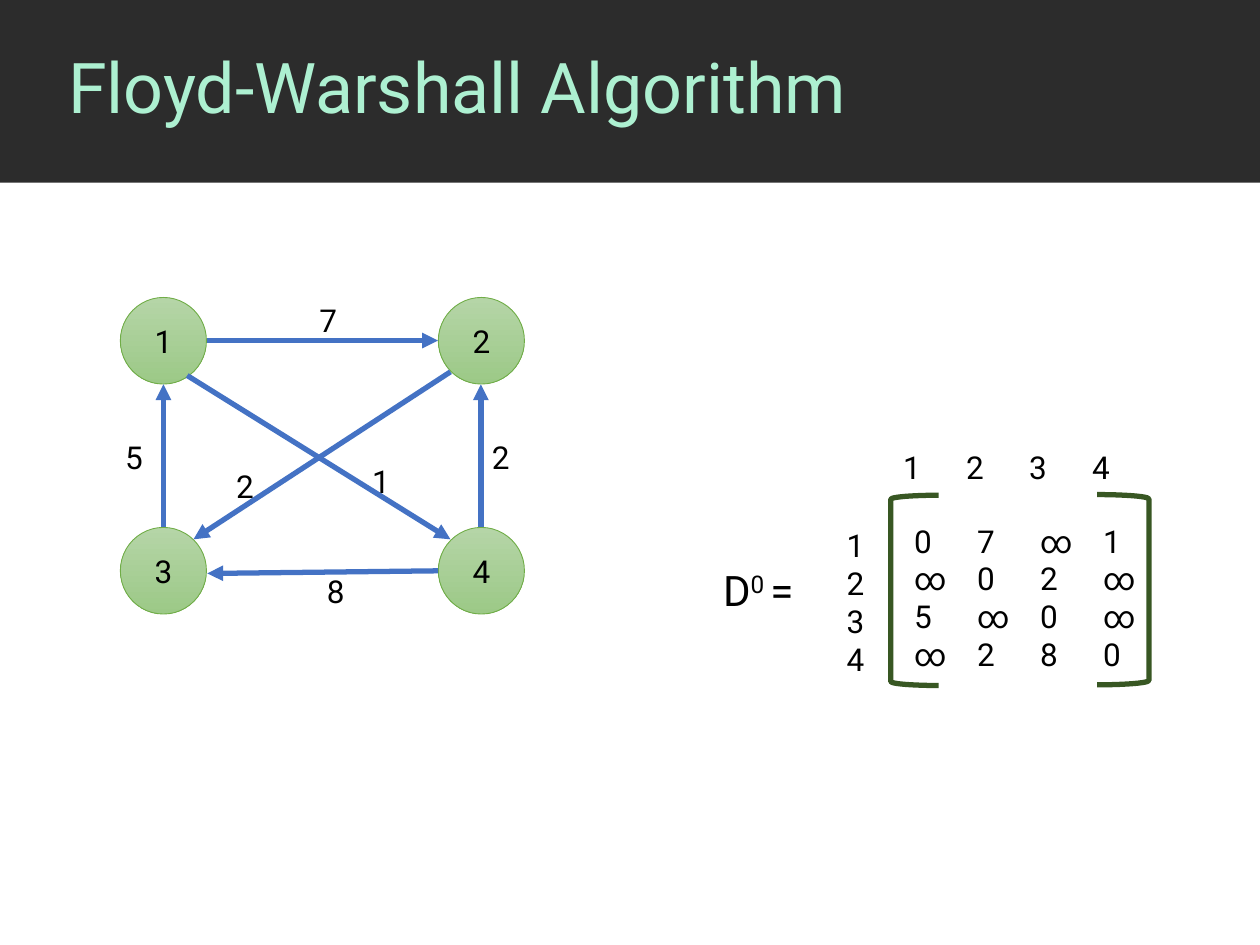
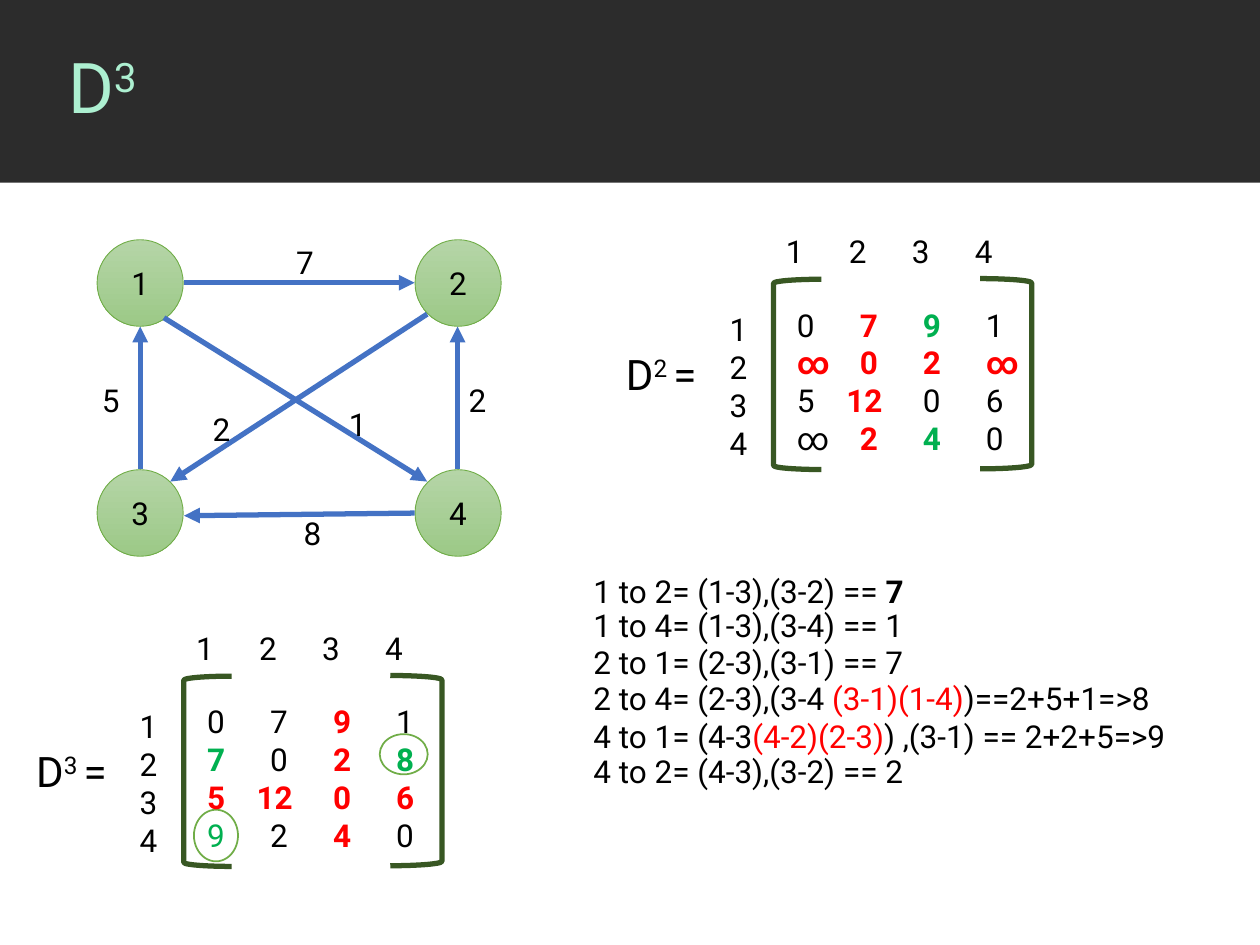
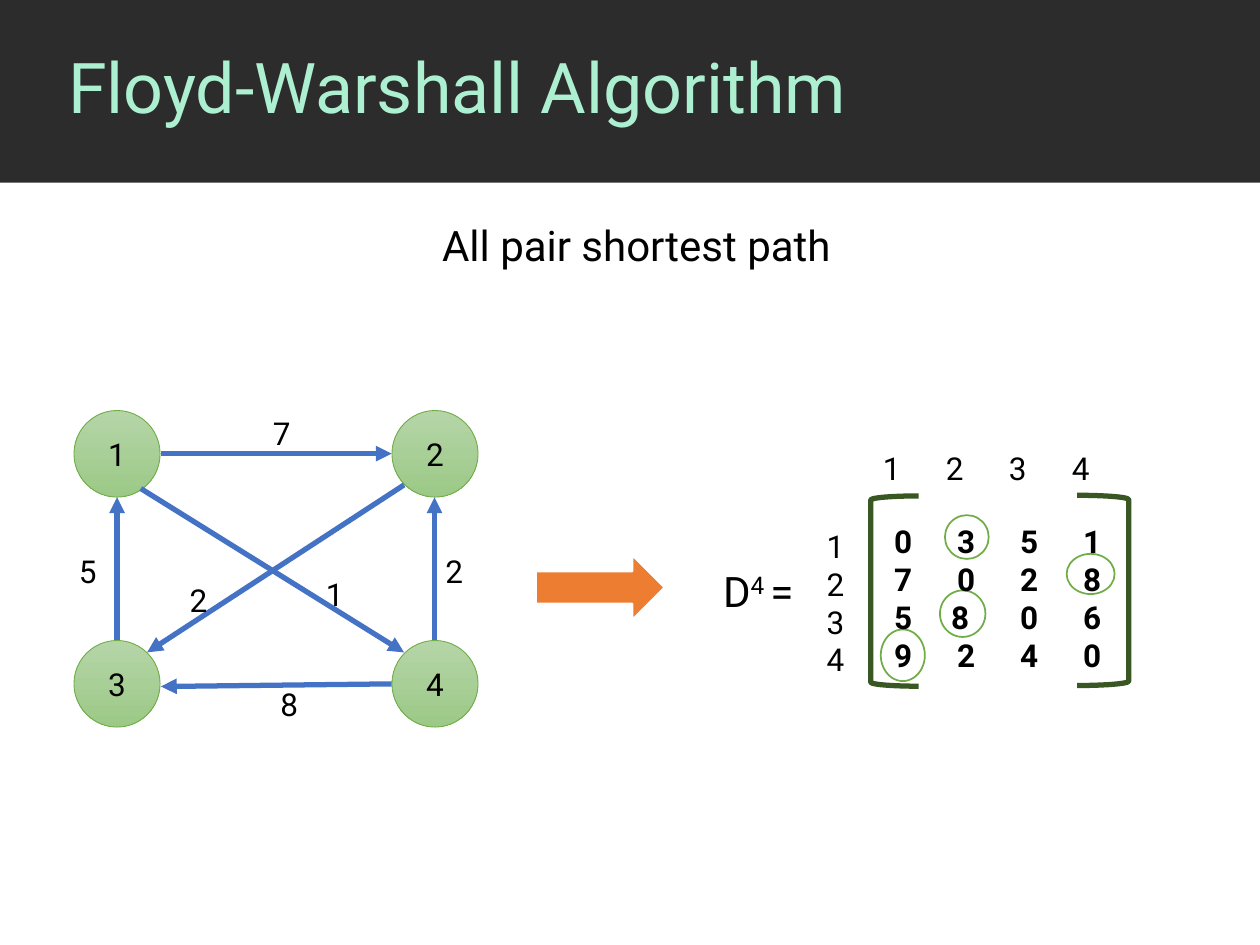
import lxml.etree
import pptx
import pptx.dml.color
import pptx.enum.shapes
import pptx.enum.text
import pptx.oxml.ns
import pptx.util

Pt = pptx.util.Pt
RGB = pptx.dml.color.RGBColor
KIND = pptx.enum.shapes.MSO_SHAPE
ANCHOR = pptx.enum.text.MSO_ANCHOR
ALIGN = pptx.enum.text.PP_ALIGN
FIT = pptx.enum.text.MSO_AUTO_SIZE

# Colours
BAND = RGB(0x2C, 0x2C, 0x2C)
MINT = RGB(0xAD, 0xF0, 0xD1)
BLACK = RGB(0, 0, 0)
WHITE = RGB(0xFF, 0xFF, 0xFF)
RED = RGB(0xFF, 0, 0)
GREEN = RGB(0, 0xB0, 0x50)
BLUE = RGB(0x44, 0x72, 0xC4)
FOREST = RGB(0x38, 0x57, 0x23)
LEAF = RGB(0x70, 0xAD, 0x47)
PALE = RGB(0xB5, 0xD5, 0xA7)
SAGE = RGB(0x9C, 0xC9, 0x87)
ORANGE = RGB(0xED, 0x7D, 0x31)

# Text formats; a mark at the end of a cell picks one of MARKS
PLAIN = {"name": "Roboto", "size": Pt(18), "color": BLACK}
LARGE = {**PLAIN, "size": Pt(24)}
TITLE = {**PLAIN, "size": Pt(40), "color": MINT}
MARKS = {
    "r": {"color": RED, "bold": True},
    "g": {"color": GREEN, "bold": True},
    "G": {"color": GREEN},
    "b": {"bold": True},
}
SUPER = {"raised": True}
TABS = (36, 72, 108)

# Graph, in points from the corner of node 1
STEP_X, STEP_Y = 181.7, 131.4
NODES = {"1": (0, 0), "2": (1, 0), "3": (0, 1), "4": (1, 1)}
EDGES = [  # start, end, weight, place of weight
    ((38.2, 44.6), (188.6, 138.2), "1", (136.8, 90.7)),
    ((188.6, 42.5), (41.8, 138.2), "2", (59, 93.6)),
    ((49.7, 24.6), (181.5, 24.6), "7", (106.6, -1.5)),
    ((181.5, 156.2), (49.7, 157.7), "8", (110.9, 153.4)),
    ((24.6, 131), (24.6, 49.6), "5", (-4.3, 77)),
    ((206, 131), (206, 49.6), "2", (205.2, 77)),
]

# Rings, in points from the corner of a matrix
LOW = (5.8, 76.3, 25.2, 29.5)
RIGHT = (112, 33.1, 27.4, 23)
TOP = (42.5, 11, 25, 25)
MID = (39.6, 54, 26, 26.6)


def write(para, parts, base):
    """Add (text, format) parts to a paragraph."""
    for text, extra in parts:
        run = para.add_run()
        run.text = text
        for key, value in {**base, **extra}.items():
            if key == "color":
                run.font.color.rgb = value
            elif key == "raised":
                run.font._element.set("baseline", "30000")
            else:
                setattr(run.font, key, value)


def set_tabs(para, stops):
    qn = pptx.oxml.ns.qn
    tabs = lxml.etree.SubElement(para._p.get_or_add_pPr(), qn("a:tabLst"))
    for stop in stops:
        lxml.etree.SubElement(tabs, qn("a:tab"), pos=str(Pt(stop)), algn="l")


def add_text(slide, place, lines, base=PLAIN, stops=None):
    """Add a text box; each line is a list of parts."""
    box = slide.shapes.add_textbox(*map(Pt, place))
    frame = box.text_frame
    frame.word_wrap = True
    for i, parts in enumerate(lines):
        para = frame.add_paragraph() if i else frame.paragraphs[0]
        if stops:
            set_tabs(para, stops[i])
        write(para, parts, base)


def add_shape(slide, kind, place, fill=None, line=None, width=1):
    shape = slide.shapes.add_shape(kind, *map(Pt, place))
    shape.shadow.inherit = False
    if fill is None:
        shape.fill.background()
    else:
        shape.fill.solid()
        shape.fill.fore_color.rgb = fill
    if line is None:
        shape.line.fill.background()
    else:
        shape.line.color.rgb = line
        shape.line.width = Pt(width)
    return shape


def add_node(slide, x, y, name):
    node = add_shape(slide, KIND.OVAL, (x, y, 49.2, 49.5), PALE, LEAF, 0.5)
    node.fill.gradient()
    node.fill.gradient_angle = 270
    for stop, color in zip(node.fill.gradient_stops, (PALE, SAGE)):
        stop.color.rgb = color
    frame = node.text_frame
    frame.vertical_anchor = ANCHOR.MIDDLE
    frame.paragraphs[0].alignment = ALIGN.CENTER
    write(frame.paragraphs[0], [(name, {})], PLAIN)


def add_edge(slide, start, end):
    kind = pptx.enum.shapes.MSO_CONNECTOR.STRAIGHT
    edge = slide.shapes.add_connector(kind, *map(Pt, start + end))
    edge.line.color.rgb = BLUE
    edge.line.width = Pt(3)
    qn = pptx.oxml.ns.qn
    props = edge.element.spPr
    lxml.etree.SubElement(props.find(qn("a:ln")), qn("a:tailEnd"), type="triangle")
    lxml.etree.SubElement(props, qn("a:effectLst"))


def add_graph(slide, x, y):
    for name, (col, row) in NODES.items():
        add_node(slide, x + col * STEP_X, y + row * STEP_Y, name)
    for start, end, *_ in EDGES:
        add_edge(slide, (x + start[0], y + start[1]), (x + end[0], y + end[1]))
    for *_, weight, (dx, dy) in EDGES:
        add_text(slide, (x + dx, y + dy, 25, 29), [[(weight, {})]])


def split_row(row):
    """Turn a row such as '0 7r 9g 1' into parts with tabs between."""
    parts = []
    for i, cell in enumerate(row.split()):
        mark = MARKS.get(cell[-1], {})
        text = cell[:-1] if mark else cell
        parts.append(("\t" * (i > 0) + text, mark))
    return parts


def add_matrix(slide, x, y, power, rows, rings=(), shift=None, gap=91.4):
    """Add a matrix; shift maps a row number to its own first tab stop."""
    for dx, dy, wide, high in rings:
        add_shape(slide, KIND.OVAL, (x + dx, y + dy, wide, high), WHITE, LEAF)
    add_shape(slide, KIND.LEFT_BRACKET, (x, y, 27.4, 108.7), None, FOREST, 3)
    add_shape(slide, KIND.RIGHT_BRACKET, (x + 118, y - 0.4, 29.5, 108.7),
              None, FOREST, 3)
    stops = [((shift or {}).get(i, TABS[0]),) + TABS[1:] for i in range(4)]
    add_text(slide, (x + 6.3, y + 11.5, 151, 94),
             [split_row(row) for row in rows], stops=stops)
    add_text(slide, (x, y - 30.6, 150, 29), [split_row("1 2 3 4")], stops=[TABS])
    add_text(slide, (x - 32.2, y + 14.2, 31, 94), [[(n, {})] for n in "1234"])
    add_text(slide, (x - gap, y + 36, 66.2, 36),
             [[("D", {}), (power + " ", SUPER), ("=", {})]], LARGE)


def add_slide(deck, parts):
    slide = deck.slides.add_slide(deck.slide_layouts[5])
    title = slide.shapes.title
    place = {"left": 31.7, "top": 0, "width": 688.3, "height": 103.7}
    for key, value in place.items():
        setattr(title, key, Pt(value))
    frame = title.text_frame
    frame.auto_size = FIT.NONE
    frame.vertical_anchor = ANCHOR.MIDDLE
    para = frame.paragraphs[0]
    para.alignment = ALIGN.LEFT
    para.line_spacing = 0.9
    write(para, parts, TITLE)
    return slide


def add_band(deck, slide):
    """Draw the title band and move it to the shared layout."""
    band = add_shape(slide, KIND.RECTANGLE, (0, 0, 720, 104.4), BAND)
    deck.slide_layouts[5].shapes.element.insert(2, band.element)


def add_steps(slide):
    red = {"color": RED}
    steps = [
        (323.3, [("1 to 2= (1-3),(3-2) == ", {}), ("7", MARKS["b"])]),
        (342.7, [("1 to 4= (1-3),(3-4) == 1", {})]),
        (363.6, [("2 to 1= (2-3),(3-1) == 7", {})]),
        (384.5, [("2 to 4= (2-3),(3-4 ", {}), ("(3-1)(1-4)", red),
                 (")==2+5+1=>8", {})]),
        (406, [("4 to 1= (4-3", {}), ("(4-2)(2-3)", red),
               (") ,(3-1) == 2+2+5=>9", {})]),
        (426.2, [("4 to 2= (4-3),(3-2) == 2", {})]),
    ]
    for top, parts in steps:
        add_text(slide, (332, top, 363, 29), [parts])


def main():
    deck = pptx.Presentation()
    deck.slide_width, deck.slide_height = Pt(720), Pt(540)
    name = [("Floyd-Warshall Algorithm", {})]

    # Start: graph and first matrix
    slide = add_slide(deck, name)
    add_band(deck, slide)
    add_matrix(slide, 509, 283, "0",
               ["0 7 ∞ 1", "∞ 0 2 ∞", "5 ∞ 0 ∞", "∞ 2 8 0"], gap=102.9)
    add_graph(slide, 68.8, 170)

    # Third round
    slide = add_slide(deck, [("D", {}), ("3", SUPER)])
    add_graph(slide, 55.5, 137)
    add_matrix(slide, 442, 159.6, "2",
               ["0 7r 9g 1", "∞r 0r 2r ∞r", "5 12r 0 6", "∞ 2r 4g 0"],
               shift={2: 28.3})
    add_matrix(slide, 105, 386.4, "3",
               ["0 7 9r 1", "7g 0 2r 8g", "5r 12r 0r 6r", "9G 2 4r 0"],
               rings=[LOW, RIGHT], shift={2: 28.3})
    add_steps(slide)

    # Result
    slide = add_slide(deck, name)
    add_graph(slide, 42.3, 234.6)
    add_matrix(slide, 497.5, 283.4, "4",
               ["0b 3b 5b 1b", "7b 0b 2b 8b", "5b 8b 0b 6b", "9b 2b 4b 0b"],
               rings=[TOP, MID, LOW, RIGHT], shift={2: 32.6})
    add_shape(slide, KIND.RIGHT_ARROW, (306, 317, 74, 37.5), ORANGE, WHITE, 1.5)
    add_text(slide, (245.5, 121.7, 243, 36),
             [[("All pair shortest path", {})]], LARGE)

    deck.save("out.pptx")


if __name__ == "__main__":
    main()
